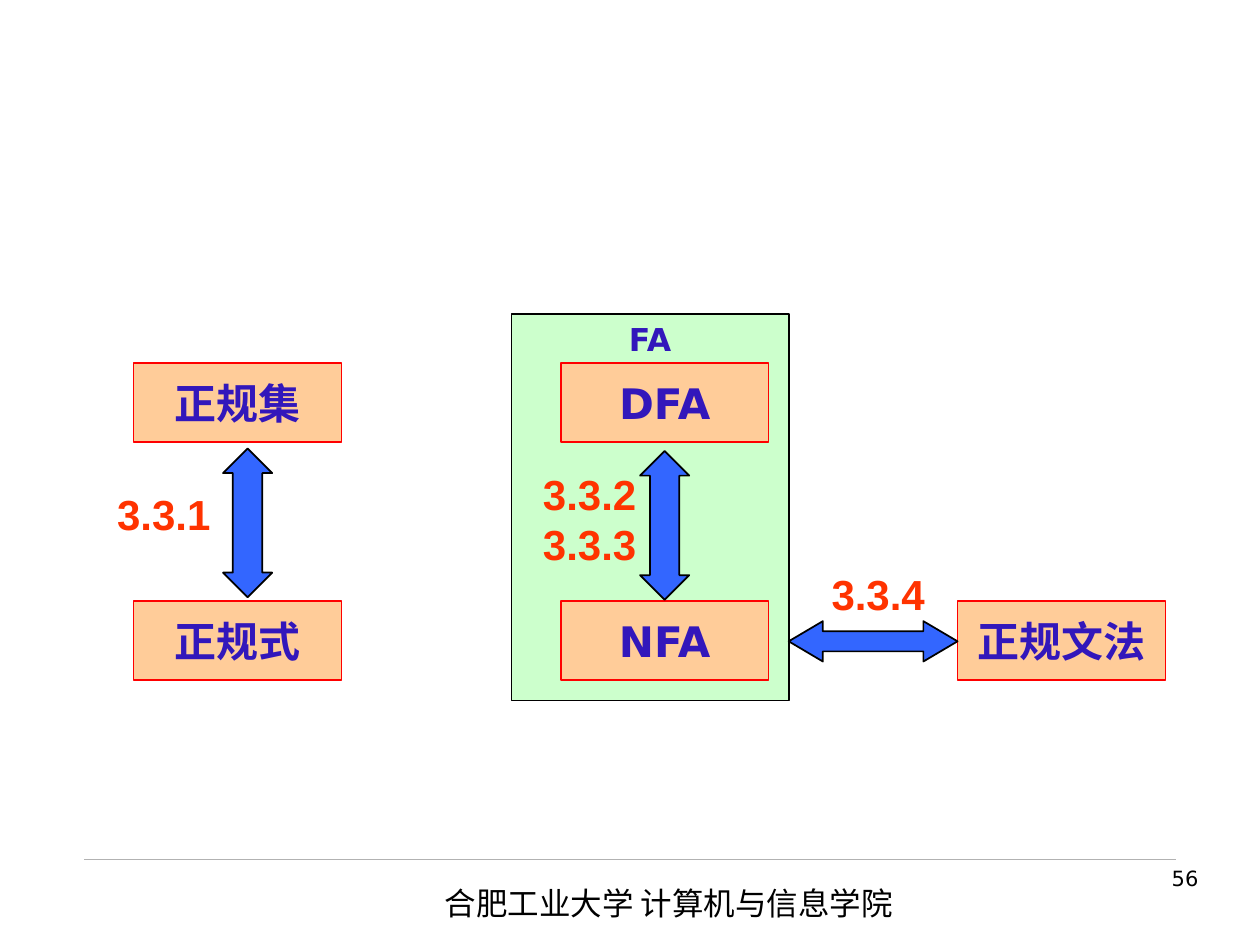
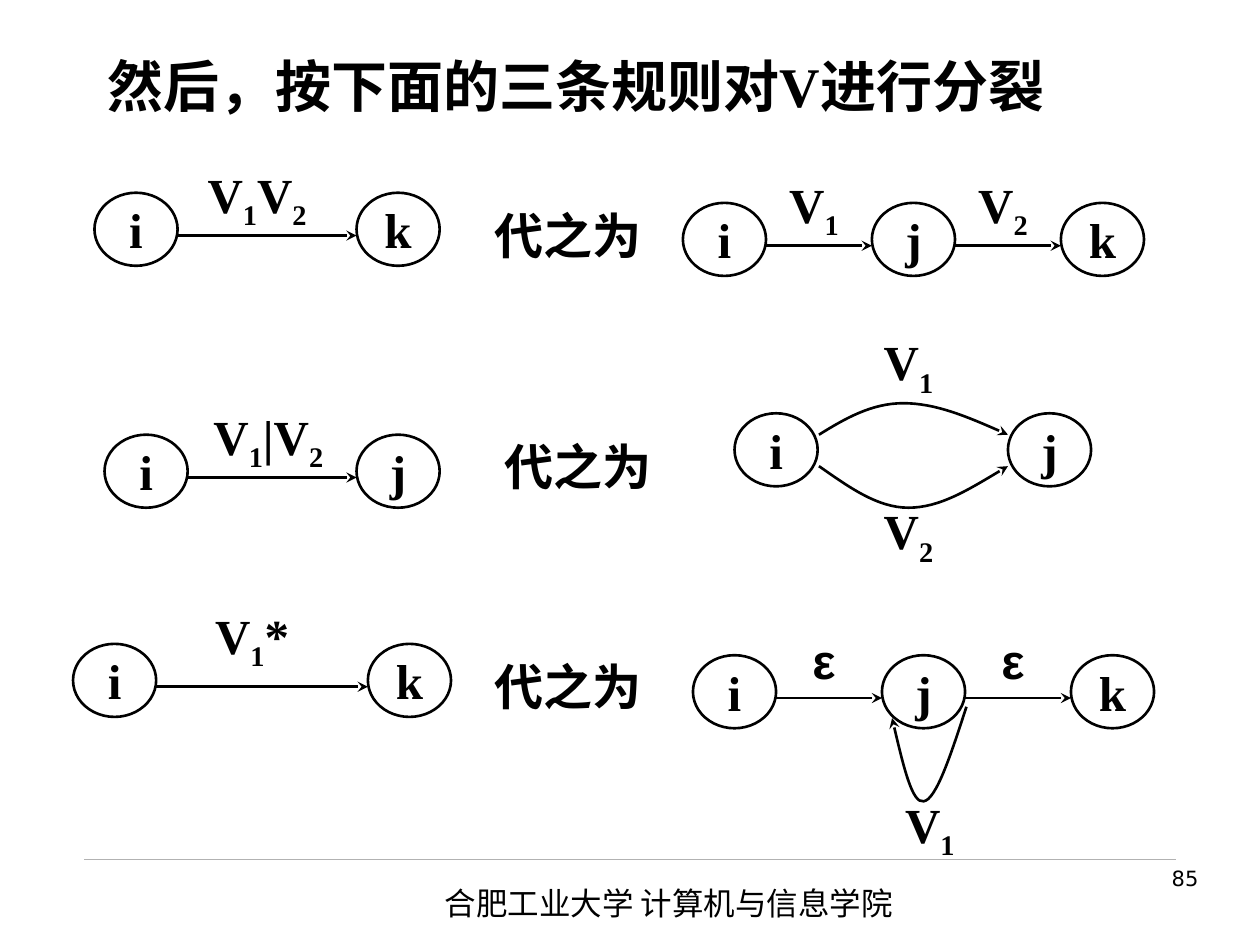
"""Build two lecture slides on regular languages and automata."""
import pptx
import pptx.util
import pptx.dml.color
import pptx.enum.shapes
import pptx.enum.text
from lxml import etree
from pptx.oxml import ns

Inches, Pt = pptx.util.Inches, pptx.util.Pt
RGB = pptx.dml.color.RGBColor.from_string
SHAPE = pptx.enum.shapes.MSO_SHAPE
ALIGN = pptx.enum.text.PP_ALIGN
ANCHOR = pptx.enum.text.MSO_ANCHOR


class Theme:
    black, rule = "000000", "B2B2B2"
    panel, box, box_line = "CCFFCC", "FFCC99", "FF0000"
    arrow, term, section = "3366FF", "3217BB", "FF3300"
    sans, serif, plain, cjk = "DejaVu Sans", "Times New Roman", "Arial", "Noto Sans CJK SC"
    number_size, small, medium, large, title_size = 12, 18, 24, 28, 32


FOOTER = "合肥工业大学 计算机与信息学院"
PAGES = ["56", "85"]
TITLE = "然后，按下面的三条规则对V进行分裂"

PANEL = ("FA", 4.06, 2.49, 2.2, 3.07)
BOX_SIZE = (1.65, 0.63)
UPPER, LOWER = 2.88, 4.77
BOXES = [
    ("正规集", 1.06, UPPER),
    ("正规式", 1.06, LOWER),
    ("DFA", 4.45, UPPER),
    ("NFA", 4.45, LOWER),
    ("正规文法", 7.6, LOWER),
]
ARROWS = [
    (SHAPE.LEFT_RIGHT_ARROW, 6.26, 4.93, 1.34, 0.32, 0.847),
    (SHAPE.UP_DOWN_ARROW, 1.77, 3.56, 0.39, 1.18, 0.599),
    (SHAPE.UP_DOWN_ARROW, 5.08, 3.58, 0.39, 1.18, 0.599),
]
SECTIONS = [
    ("3.3.1", 0.83, 3.83, 0.5),
    ("3.3.2\n3.3.3", 4.21, 3.67, 0.9),
    ("3.3.4", 6.5, 4.46, 0.5),
]

NODE_W, NODE_H, EDGE_DROP = 0.66, 0.58, 0.34
LABEL_W, LABEL_H = 0.92, 0.58
REPLACE = ("代之为", 1.17, 0.67)
REPLACE_AT = [(3.92, 1.53), (4, 3.36), (3.92, 5.11)]
CHAINS = [
    {"top": 1.53, "nodes": [("i", 0.75), ("k", 2.83)], "labels": [("V_1V_2", 1.58, 1.28)]},
    {"top": 1.61, "nodes": [("i", 5.42), ("j", 6.92), ("k", 8.42)],
     "labels": [("V_1", 6, 1.36), ("V_2", 7.5, 1.36)]},
    {"top": 3.45, "nodes": [("i", 0.83), ("j", 2.83)], "labels": [("V_1|V_2", 1.67, 3.2)]},
    {"top": 3.28, "nodes": [("i", 5.83), ("j", 8)], "forked": True,
     "labels": [("V_1", 6.75, 2.61), ("V_2", 6.75, 3.95)]},
    {"top": 5.11, "nodes": [("i", 0.58), ("k", 2.92)], "labels": [("V_1*", 1.54, 4.78)]},
    {"top": 5.2, "nodes": [("i", 5.5), ("j", 7), ("k", 8.5)],
     "labels": [("ε", 6.08, 4.95), ("ε", 7.58, 4.95), ("V_1", 6.92, 6.28)]},
]
CURVES = [
    [(6.5, 3.45), (6.71, 3.32), (6.92, 3.2), (7.17, 3.2), (7.42, 3.2), (7.71, 3.32), (8, 3.45)],
    [(6.5, 3.7), (6.73, 3.86), (6.96, 4.03), (7.21, 4.03), (7.46, 4.03), (7.73, 3.86), (8, 3.7)],
    [(7.67, 5.61), (7.55, 5.98), (7.43, 6.35), (7.33, 6.36), (7.24, 6.38), (7.16, 6.04), (7.08, 5.7)],
]


def put_text(sp, text, size, font=Theme.serif, color=Theme.black, bold=True,
             align=ALIGN.CENTER, anchor=ANCHOR.MIDDLE, wrap=False):
    """Write text into sp; a character after an underscore becomes a subscript."""
    tf = sp.text_frame
    tf.auto_size = pptx.enum.text.MSO_AUTO_SIZE.NONE
    tf.word_wrap, tf.vertical_anchor = wrap, anchor
    for n, line in enumerate(text.split("\n")):
        p = tf.add_paragraph() if n else tf.paragraphs[0]
        p.alignment = align
        first, *rest = line.split("_")
        parts = [(first, False)]
        for part in rest:
            parts += [(part[0], True), (part[1:], False)]
        for part, lowered in parts:
            if not part:
                continue
            r = p.add_run()
            r.text = part
            r.font.size, r.font.bold, r.font.name = Pt(size), bold, font
            r.font.color.rgb = RGB(color)
            rPr = r._r.get_or_add_rPr()
            etree.SubElement(rPr, ns.qn("a:ea")).set("typeface", Theme.cjk)
            if lowered:
                rPr.set("baseline", "-25000")


def add_label(slide, text, x, y, w, h, size, **style):
    """Add a text box."""
    sp = slide.shapes.add_textbox(Inches(x), Inches(y), Inches(w), Inches(h))
    put_text(sp, text, size, **style)


def paint(sp, fill, line, width):
    """Set the fill and outline of a shape and drop its shadow."""
    sp.shadow.inherit = False
    if fill:
        sp.fill.solid()
        sp.fill.fore_color.rgb = RGB(fill)
    else:
        sp.fill.background()
    sp.line.color.rgb, sp.line.width = RGB(line), Pt(width)


def add_shape(slide, kind, x, y, w, h, fill=None, line=Theme.black, width=1):
    """Add a painted preset shape."""
    sp = slide.shapes.add_shape(kind, Inches(x), Inches(y), Inches(w), Inches(h))
    paint(sp, fill, line, width)
    return sp


def add_head(sp):
    """Put an arrowhead at the end of a line."""
    etree.SubElement(sp.line._get_or_add_ln(), ns.qn("a:tailEnd")).set("type", "stealth")


def add_line(slide, x1, x2, y, color=Theme.black, width=1.5):
    """Add a level line without a shadow."""
    sp = slide.shapes.add_connector(pptx.enum.shapes.MSO_CONNECTOR.STRAIGHT,
                                    Inches(x1), Inches(y), Inches(x2), Inches(y))
    sp.line.color.rgb, sp.line.width = RGB(color), Pt(width)
    etree.SubElement(sp._element.spPr, ns.qn("a:effectLst"))
    return sp


def add_curve(slide, points):
    """Add an arrow along cubic curves, three points to each after the start."""
    start, *rest = [(Inches(x), Inches(y)) for x, y in points]
    builder = slide.shapes.build_freeform(*start)
    builder.add_line_segments(rest, close=False)
    sp = builder.convert_to_shape()
    segments = list(sp._element.iter(ns.qn("a:lnTo")))
    for n in range(0, len(segments), 3):
        curve = etree.Element(ns.qn("a:cubicBezTo"))
        segments[n].addprevious(curve)
        for segment in segments[n:n + 3]:
            curve.append(segment[0])
            segment.getparent().remove(segment)
    paint(sp, None, Theme.black, 1.5)
    add_head(sp)


def add_slide(prs, layout, page):
    """Add a slide with the shared rule, footer and page number."""
    slide = prs.slides.add_slide(prs.slide_layouts[layout])
    add_line(slide, 0.67, 9.33, 6.82, Theme.rule, 0.25)
    add_label(slide, FOOTER, 3.43, 6.97, 4.72, 0.4, Theme.small, font=Theme.cjk,
              bold=False, align=ALIGN.LEFT, anchor=ANCHOR.TOP, wrap=True)
    add_label(slide, page, 7.44, 6.82, 2.17, 0.52, Theme.number_size, font=Theme.sans,
              bold=False, align=ALIGN.RIGHT, anchor=ANCHOR.TOP, wrap=True)
    return slide


def build_overview(prs):
    """Show how the formalisms relate and which section covers each link."""
    slide = add_slide(prs, 6, PAGES[0])
    name, *place = PANEL
    sp = add_shape(slide, SHAPE.RECTANGLE, *place, fill=Theme.panel)
    put_text(sp, name, Theme.small, font=Theme.sans, color=Theme.term, anchor=ANCHOR.TOP)
    for name, x, y in BOXES:
        sp = add_shape(slide, SHAPE.RECTANGLE, x, y, *BOX_SIZE, fill=Theme.box, line=Theme.box_line)
        put_text(sp, name, Theme.medium, font=Theme.sans, color=Theme.term)
    for kind, x, y, w, h, head in ARROWS:
        sp = add_shape(slide, kind, x, y, w, h, fill=Theme.arrow)
        sp.adjustments[0], sp.adjustments[1] = 0.5, head
    for text, x, y, h in SECTIONS:
        add_label(slide, text, x, y, 0.94, h, Theme.medium, font=Theme.plain,
                  color=Theme.section, anchor=ANCHOR.TOP)


def build_rules(prs):
    """Show the three rules for splitting an edge."""
    slide = add_slide(prs, 5, PAGES[1])
    title = slide.shapes.title
    title.left, title.top, title.width, title.height = map(Inches, (0.75, 0.36, 8.5, 0.75))
    put_text(title, TITLE, Theme.title_size, align=ALIGN.JUSTIFY, anchor=ANCHOR.TOP, wrap=True)
    word, w, h = REPLACE
    for x, y in REPLACE_AT:
        add_label(slide, word, x, y, w, h, Theme.large)
    for chain in CHAINS:
        top, nodes = chain["top"], chain["nodes"]
        for name, x in nodes:
            sp = add_shape(slide, SHAPE.OVAL, x, top, NODE_W, NODE_H, width=1.5)
            put_text(sp, name, Theme.large)
        if not chain.get("forked"):
            for (_, left), (_, right) in zip(nodes, nodes[1:]):
                add_head(add_line(slide, left + NODE_W, right, top + EDGE_DROP))
        for text, x, y in chain["labels"]:
            font = Theme.plain if text == "ε" else Theme.serif
            add_label(slide, text, x, y, LABEL_W, LABEL_H, Theme.large, font=font)
    for points in CURVES:
        add_curve(slide, points)


def main():
    """Build and save the presentation."""
    prs = pptx.Presentation()
    prs.slide_width, prs.slide_height = Inches(10), Inches(7.5)
    build_overview(prs)
    build_rules(prs)
    prs.save("out.pptx")


if __name__ == "__main__":
    main()
